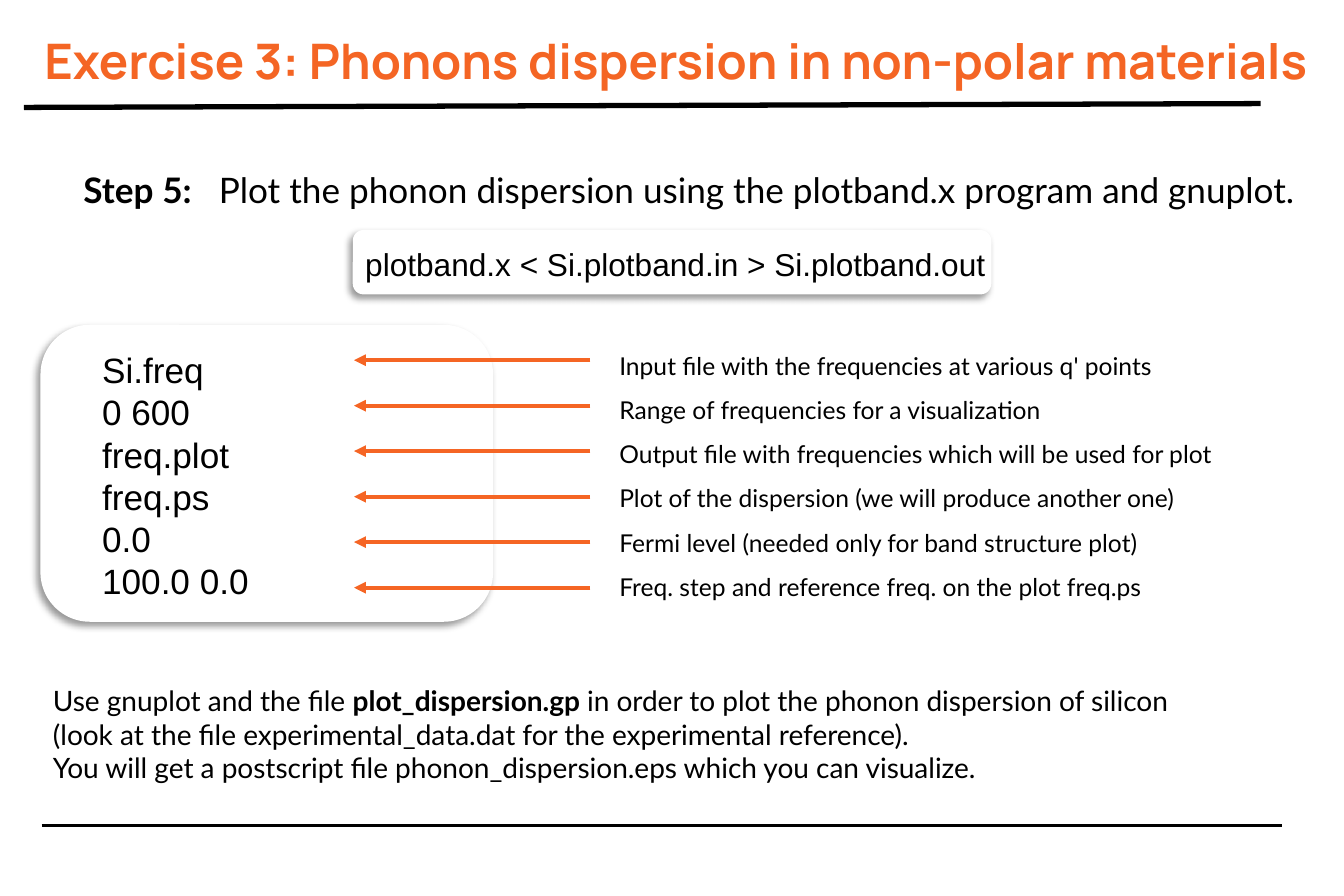
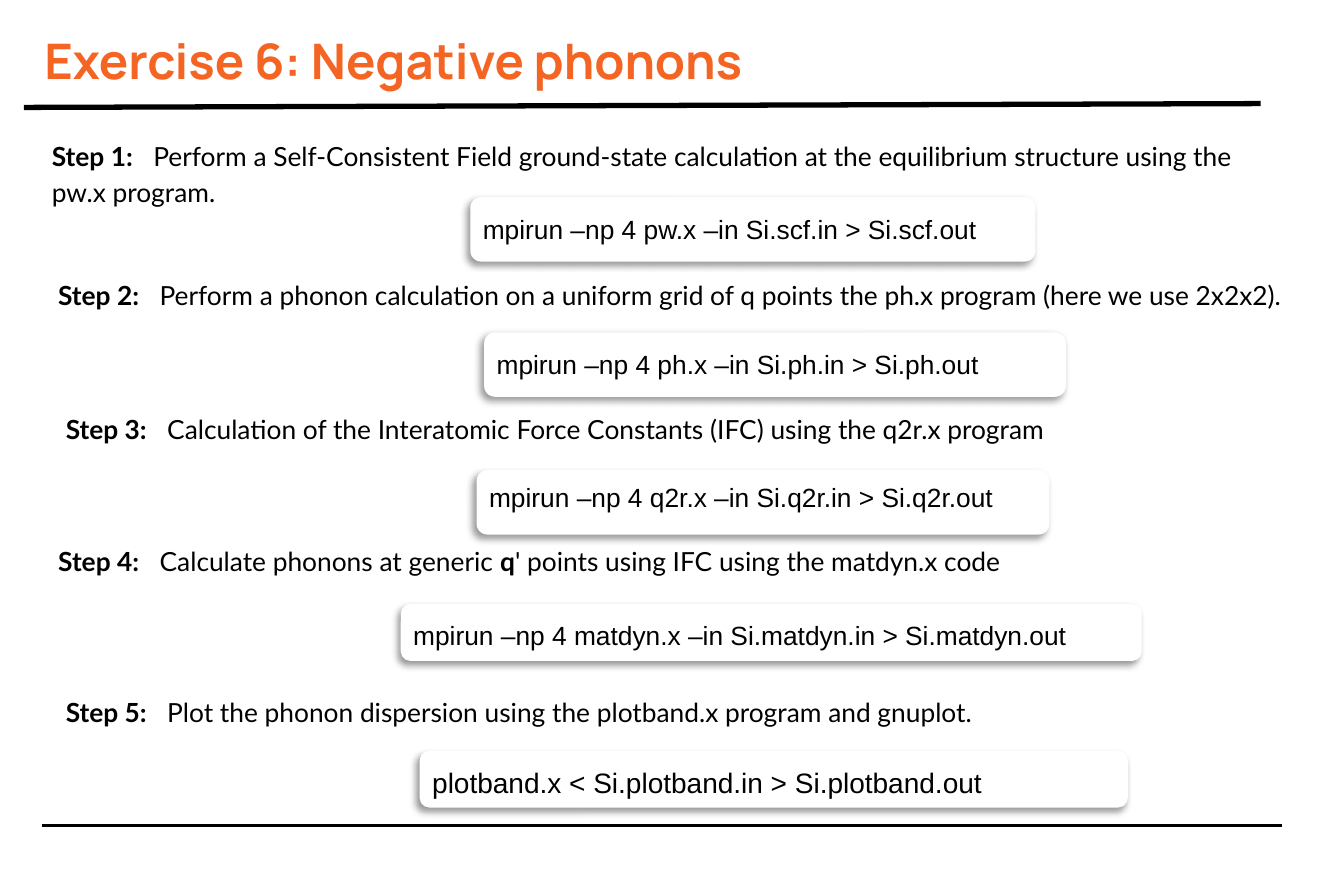
import lxml.etree
import pptx
import pptx.dml.color
import pptx.enum.shapes
import pptx.enum.text
import pptx.oxml
import pptx.oxml.ns
import pptx.util

Inches = pptx.util.Inches
Pt = pptx.util.Pt
RGB = pptx.dml.color.RGBColor
qn = pptx.oxml.ns.qn

BLACK = RGB(0x00, 0x00, 0x00)
WHITE = RGB(0xFF, 0xFF, 0xFF)
TITLE_ORANGE = RGB(0xF4, 0x65, 0x24)
ARROW_ORANGE = RGB(0xF5, 0x65, 0x24)
BODY, CODE, HEADING = "Lato", "Arial", "Manrope"
INSETS = (0.11, 0.11, 0.11, 0.11)
STEP_INSETS = (0.22, 0.11, 0.11, 0.11)
TAB_PER_POINT = 0.0535

RULES = [((0.19, 0.85), (9.97, 0.82), 3), ((0.33, 6.53), (10.14, 6.53), 1.5)]

PLOT_TITLE = "Exercise 3: Phonons dispersion in non-polar materials"
PLOT_STEP = "Plot the phonon dispersion using the plotband.x program and gnuplot."
PLOT_COMMAND = "plotband.x < Si.plotband.in > Si.plotband.out"
INPUT_LINES = [
    ("Si.freq", "Input file with the frequencies at various q' points"),
    ("0 600", "Range of frequencies for a visualization"),
    ("freq.plot", "Output file with frequencies which will be used for plot"),
    ("freq.ps", "Plot of the dispersion (we will produce another one)"),
    ("0.0", "Fermi level (needed only for band structure plot)"),
    ("100.0 0.0", "Freq. step and reference freq. on the plot freq.ps"),
]
ARROW_TOP, ARROW_PITCH = 2.85, 0.36
GNUPLOT_NOTE = [
    [("Use gnuplot and the file ", False), ("plot_dispersion.gp ", True),
     ("in order to plot the phonon dispersion of silicon", False)],
    "(look at the file experimental_data.dat for the experimental reference).",
    "You will get a postscript file phonon_dispersion.eps which you can visualize.",
]

NEGATIVE_TITLE = "Exercise 6: Negative phonons"
STEPS = [
    dict(text=[("Perform a Self-Consistent Field ground-state calculation at the "
                "equilibrium structure using the pw.x program.", False)],
         box=(0.19, 0.96, 9.99, 0.91),
         command="mpirun –np 4 pw.x –in Si.scf.in > Si.scf.out",
         card=(3.72, 1.56, 4.47, 0.51), label=(1.64, 5.31)),
    dict(text=[("Perform a phonon calculation on a uniform grid of q points the "
                "ph.x program (here we use 2x2x2).", False)],
         box=(0.24, 2.06, 10.2, 1.07),
         command="mpirun –np 4 ph.x –in Si.ph.in > Si.ph.out",
         card=(3.83, 2.63, 4.6, 0.51), label=(2.71, 4.47)),
    dict(text=[("Calculation of the Interatomic Force Constants (IFC) using the "
                "q2r.x program", False)],
         box=(0.3, 3.15, 9.99, 0.51), spacing=1.05,
         command="mpirun –np 4 q2r.x –in Si.q2r.in > Si.q2r.out",
         card=(3.77, 3.72, 4.53, 0.51), label=(3.76, 4.66)),
    dict(text=[("Calculate phonons at generic ", False), ("q", True),
               ("' points using IFC using the matdyn.x code", False)],
         box=(0.24, 4.17, 9.99, 0.57),
         command="mpirun –np 4 matdyn.x –in Si.matdyn.in > Si.matdyn.out",
         card=(3.17, 4.78, 5.86, 0.45), label=(4.85, 5.96)),
    dict(text=[(PLOT_STEP, False)],
         box=(0.3, 5.36, 9.99, 0.67),
         command=PLOT_COMMAND, size=16,
         card=(3.32, 5.94, 5.6, 0.45), label=(6.01, 5.6)),
]


def write(tf, paragraphs, font, size, color=BLACK, bold=None, spacing=None, insets=None):
    tf.word_wrap = True
    tf.auto_size = pptx.enum.text.MSO_AUTO_SIZE.NONE
    tf.vertical_anchor = pptx.enum.text.MSO_ANCHOR.TOP
    if insets:
        (tf.margin_left, tf.margin_top,
         tf.margin_right, tf.margin_bottom) = [Inches(v) for v in insets]
    for i, runs in enumerate(paragraphs):
        p = tf.add_paragraph() if i else tf.paragraphs[0]
        p.alignment = pptx.enum.text.PP_ALIGN.LEFT
        p.font.name, p.font.size, p.font.bold = font, Pt(size), bold
        p.font.color.rgb = color
        if spacing:
            p.line_spacing = spacing
        for text, strong in [(runs, None)] if isinstance(runs, str) else runs:
            r = p.add_run()
            r.text = text
            r.font.bold = strong


def add_text(slide, box, paragraphs, font, size, **style):
    sp = slide.shapes.add_textbox(*[Inches(v) for v in box])
    write(sp.text_frame, paragraphs, font, size, **style)
    return sp


def add_step(slide, number, runs, box, size, spacing=1.15):
    sp = add_text(slide, box, [[(f"Step {number}:\t", True)] + runs], BODY, size,
                  spacing=spacing, insets=STEP_INSETS)
    pPr = sp.text_frame.paragraphs[0]._p.get_or_add_pPr()
    tabs = lxml.etree.Element(qn("a:tabLst"))
    lxml.etree.SubElement(tabs, qn("a:tab"), pos=str(Inches(size * TAB_PER_POINT)), algn="l")
    pPr.find(qn("a:defRPr")).addprevious(tabs)


def add_card(slide, box):
    sp = slide.shapes.add_shape(pptx.enum.shapes.MSO_SHAPE.ROUNDED_RECTANGLE,
                                *[Inches(v) for v in box])
    sp.fill.solid()
    sp.fill.fore_color.rgb = WHITE
    sp.line.fill.background()
    sp.shadow.inherit = False
    effects = sp.element.spPr.find(qn("a:effectLst"))
    shadow = lxml.etree.SubElement(effects, qn("a:outerShdw"), blurRad=str(Pt(4)),
                                   dist=str(Pt(3)), dir="8100000", rotWithShape="0")
    tint = lxml.etree.SubElement(shadow, qn("a:srgbClr"), val=str(BLACK))
    lxml.etree.SubElement(tint, qn("a:alpha"), val="40000")


def add_command(slide, text, card, label, size):
    add_card(slide, card)
    top, width = label
    add_text(slide, (card[0], top, width, 0.4), [text], CODE, size)


def add_line(slide, start, end, color, width, arrow=False):
    cn = slide.shapes.add_connector(pptx.enum.shapes.MSO_CONNECTOR.STRAIGHT,
                                    *[Inches(v) for v in start + end])
    cn.line.color.rgb = color
    cn.line.width = Pt(width)
    if arrow:
        lxml.etree.SubElement(cn.line._get_or_add_ln(), qn("a:tailEnd"), type="triangle")
    lxml.etree.SubElement(cn.element.spPr, qn("a:effectLst"))
    return cn


def add_slide(prs, title):
    slide = prs.slides.add_slide(prs.slide_layouts[5])
    sp = slide.shapes.title
    sp.left, sp.top, sp.width, sp.height = [Inches(v) for v in (0.24, 0.13, 10.28, 0.88)]
    write(sp.text_frame, [title], HEADING, 27.9, color=TITLE_ORANGE, bold=True, insets=INSETS)
    return slide


def add_layout_rules(slide):
    for start, end, width in RULES:
        cn = add_line(slide, start, end, BLACK, width)
        slide.slide_layout.shapes.element.append(cn.element)


def build_plot_slide(prs):
    slide = add_slide(prs, PLOT_TITLE)
    add_layout_rules(slide)
    add_step(slide, 5, [(PLOT_STEP, False)], (0.44, 1.17, 9.99, 0.67), 20)
    add_command(slide, PLOT_COMMAND, (2.79, 1.82, 5.05, 0.51), (1.89, 5.31), 18)
    add_card(slide, (0.32, 2.57, 3.58, 2.35))
    values, meanings = zip(*INPUT_LINES)
    add_text(slide, (0.71, 2.71, 3.03, 2.12), values, CODE, 20)
    add_text(slide, (4.8, 2.61, 5.36, 2.17), meanings, BODY, 14, spacing=1.5)
    for i in range(len(INPUT_LINES)):
        y = ARROW_TOP + i * ARROW_PITCH
        add_line(slide, (4.67, y), (2.8, y), ARROW_ORANGE, 2.25, arrow=True)
    add_text(slide, (0.32, 5.36, 9.68, 0.91), GNUPLOT_NOTE, BODY, 16)


def build_negative_slide(prs):
    slide = add_slide(prs, NEGATIVE_TITLE)
    for number, step in enumerate(STEPS, 1):
        add_step(slide, number, step["text"], step["box"], 15, step.get("spacing", 1.15))
        add_command(slide, step["command"], step["card"], step["label"], step.get("size", 15))


def main():
    prs = pptx.Presentation()
    prs.slide_width, prs.slide_height = Inches(10.63), Inches(7.09)
    build_plot_slide(prs)
    build_negative_slide(prs)
    prs.save("out.pptx")


if __name__ == "__main__":
    main()
